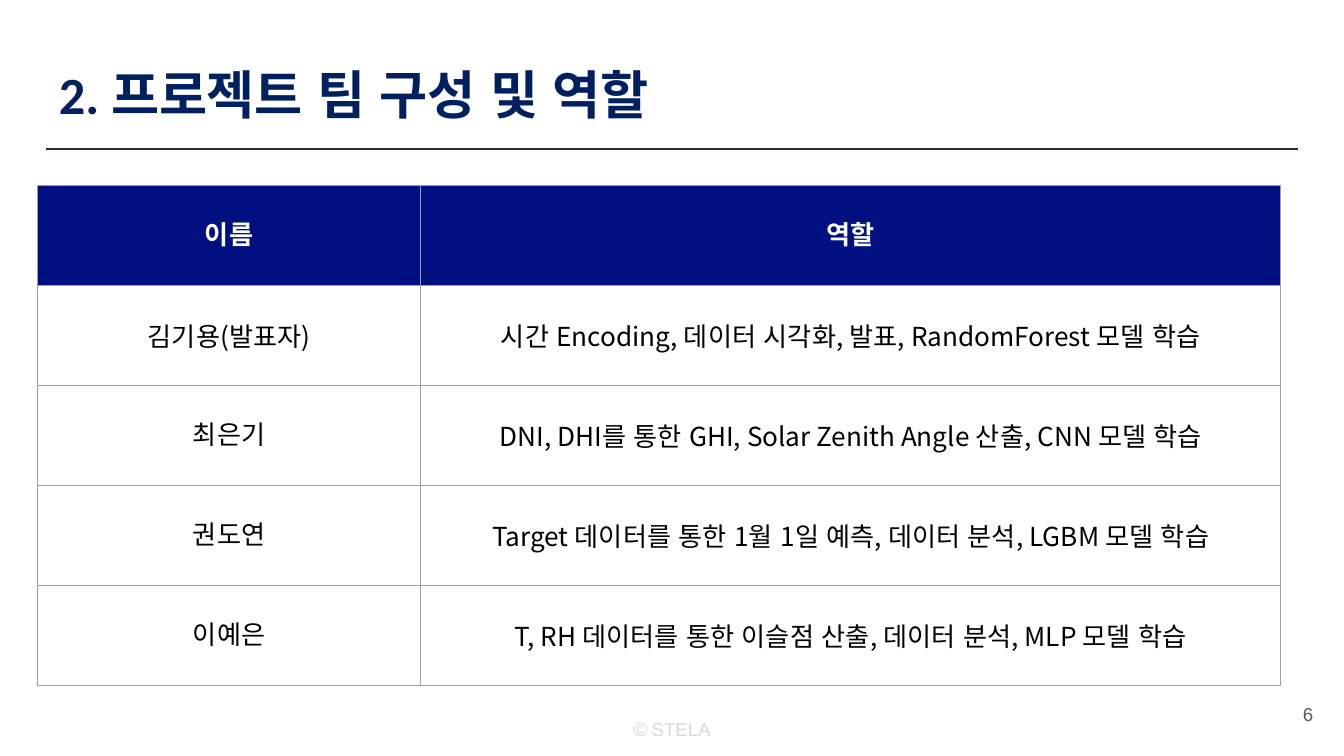
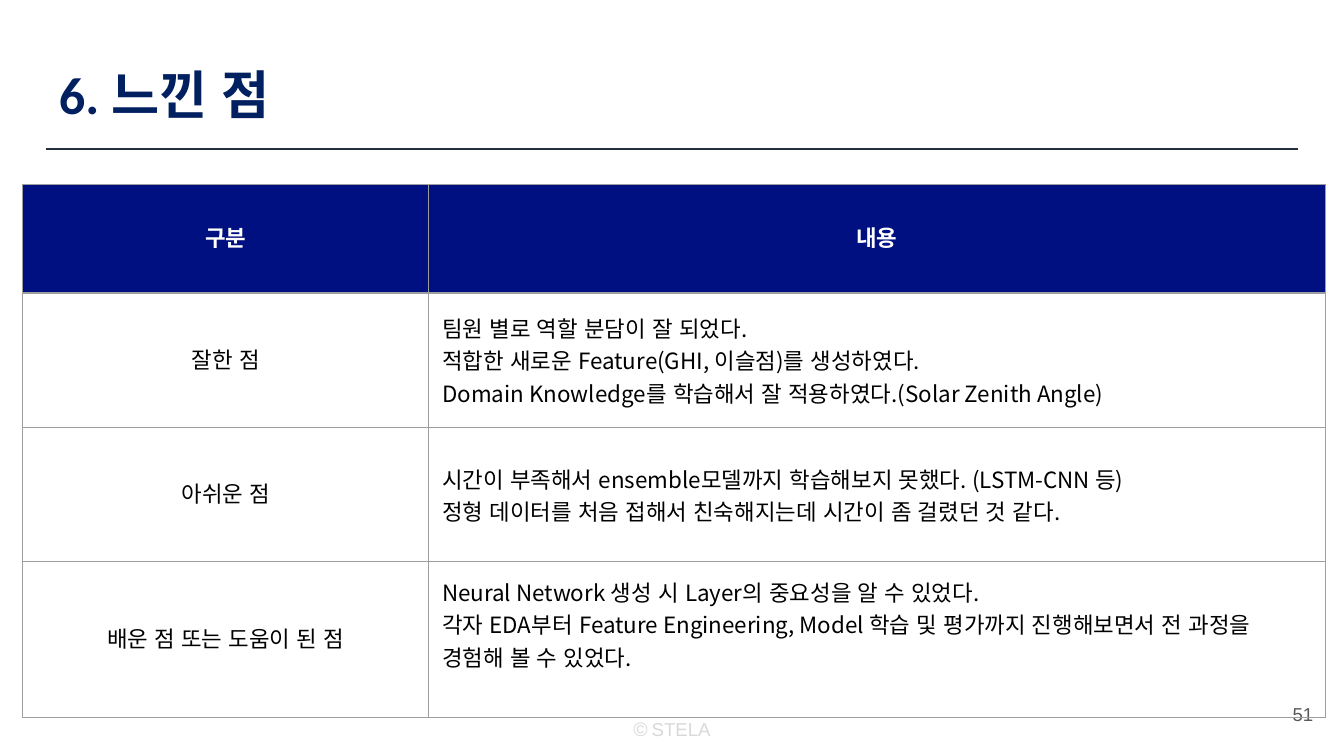
from lxml.etree import SubElement
from pptx import Presentation
from pptx.dml.color import RGBColor
from pptx.enum.shapes import MSO_CONNECTOR
from pptx.enum.text import MSO_ANCHOR, PP_ALIGN
from pptx.oxml import parse_xml
from pptx.oxml.ns import nsdecls, qn
from pptx.util import Inches, Pt

TITLE, RULE, HEADER, BORDER = "002060", "262E42", "001080", "9E9E9E"
FOOTER, PAGE, WHITE, BLACK = "D9D9D9", "595959", "FFFFFF", "000000"
TABLE_FONT = "Noto Sans CJK KR"
NO_STYLE = "{2D5ABB26-0587-4C30-8999-92F81FD0307C}"
INSET = Inches(0.1)

slides = [
    {
        "title": "2. 프로젝트 팀 구성 및 역할", "page": "6", "size": 14,
        "at": (0.28, 1.38), "cols": (2.85, 6.4), "rows": [3.72 / 5] * 5,
        "body_align": PP_ALIGN.CENTER,
        "cells": [
            ("이름", "역할"),
            ("김기용(발표자)", "시간 Encoding, 데이터 시각화, 발표, RandomForest 모델 학습"),
            ("최은기", "DNI, DHI를 통한 GHI, Solar Zenith Angle 산출, CNN 모델 학습"),
            ("권도연", "Target 데이터를 통한 1월 1일 예측, 데이터 분석, LGBM 모델 학습"),
            ("이예은", "T, RH 데이터를 통한 이슬점 산출, 데이터 분석, MLP 모델 학습"),
        ],
    },
    {
        "title": "6. 느낀 점", "page": "51", "size": 12,
        "at": (0.17, 1.37), "cols": (3.02, 6.67), "rows": [0.81, 1, 1, 1.16],
        "body_align": PP_ALIGN.LEFT, "last_bottom": 0.34,
        "cells": [
            ("구분", "내용"),
            ("잘한 점",
             "팀원 별로 역할 분담이 잘 되었다.\n"
             "적합한 새로운 Feature(GHI, 이슬점)를 생성하였다.\n"
             "Domain Knowledge를 학습해서 잘 적용하였다.(Solar Zenith Angle)"),
            ("아쉬운 점",
             "시간이 부족해서 ensemble모델까지 학습해보지 못했다. (LSTM-CNN 등)\n"
             "정형 데이터를 처음 접해서 친숙해지는데 시간이 좀 걸렸던 것 같다."),
            ("배운 점 또는 도움이 된 점",
             "Neural Network 생성 시 Layer의 중요성을 알 수 있었다.\n"
             "각자 EDA부터 Feature Engineering, Model 학습 및 평가까지 "
             "진행해보면서 전 과정을 경험해 볼 수 있었다."),
        ],
    },
]


def style(font, name, size, color, bold=False):
    """Set a font, with Arial as the face for East Asian letters."""
    font.name, font.size, font.bold = name, Pt(size), bold
    font.color.rgb = RGBColor.from_string(color)
    SubElement(font._element, qn("a:ea")).set("typeface", "Arial")


def add_plain_table(s, at, cols, rows):
    """Add a table with no style and even cell margins."""
    frame = s.shapes.add_table(len(rows), len(cols), Inches(at[0]), Inches(at[1]),
                               Inches(sum(cols)), Inches(sum(rows)))
    table = frame.table
    table.first_row = table.horz_banding = False
    table._tbl.tblPr.find(qn("a:tableStyleId")).text = NO_STYLE
    for column, width in zip(table.columns, cols):
        column.width = Inches(width)
    for row, height in zip(table.rows, rows):
        row.height = Inches(height)
    for cell in table.iter_cells():
        cell.margin_left = cell.margin_right = INSET
        cell.margin_top = cell.margin_bottom = INSET
    return table


prs = Presentation()
prs.slide_width = Inches(10)
prs.slide_height = prs.slide_width * 9 // 16

for slide in slides:
    s = prs.slides.add_slide(prs.slide_layouts[6])

    rule = s.shapes.add_connector(MSO_CONNECTOR.STRAIGHT, Inches(0.34), Inches(1.11),
                                  Inches(9.66), Inches(1.11))
    rule.line.color.rgb = RGBColor.from_string(RULE)
    rule.line.width = Pt(0.75)
    SubElement(rule._element.spPr, qn("a:effectLst"))

    # Title and page number
    for text, box, anchor, align, font in (
        (slide["title"], (0.34, 0.36, 9.32, 0.63), MSO_ANCHOR.TOP, PP_ALIGN.LEFT,
         ("Calibri", 28, TITLE, True)),
        (slide["page"], (9.27, 5.1, 0.6, 0.43), MSO_ANCHOR.MIDDLE, PP_ALIGN.RIGHT,
         ("Arial", 10, PAGE)),
    ):
        tf = s.shapes.add_textbox(*map(Inches, box)).text_frame
        tf.word_wrap, tf.vertical_anchor = True, anchor
        tf.margin_left = tf.margin_right = tf.margin_top = tf.margin_bottom = INSET
        p = tf.paragraphs[0]
        p.text, p.alignment = text, align
        style(p.font, *font)

    # Copyright footer
    footer = add_plain_table(s, (4.29, 5.25), [1.42], [0.3])
    p = footer.cell(0, 0).text_frame.paragraphs[0]
    p.alignment = PP_ALIGN.CENTER
    for text, size in (("©", 10.5), (" ", 7.5), ("STELA", 10)):
        r = p.add_run()
        r.text = text
        style(r.font, "Arial", size, FOOTER)

    # Main table
    table = add_plain_table(s, slide["at"], slide["cols"], slide["rows"])
    for i, texts in enumerate(slide["cells"]):
        header = i == 0
        for j, text in enumerate(texts):
            cell = table.cell(i, j)
            cell.text = text
            cell.vertical_anchor = MSO_ANCHOR.MIDDLE
            if header:
                cell.fill.solid()
                cell.fill.fore_color.rgb = RGBColor.from_string(HEADER)
            else:
                cell.fill.background()
            for k, side in enumerate(("lnL", "lnR", "lnT", "lnB")):
                cell._tc.get_or_add_tcPr().insert(k, parse_xml(
                    f'<a:{side} {nsdecls("a")} w="{Pt(0.75)}"><a:solidFill>'
                    f'<a:srgbClr val="{BORDER}"/></a:solidFill></a:{side}>'))
            for p in cell.text_frame.paragraphs:
                p.alignment = PP_ALIGN.CENTER if header or j == 0 else slide["body_align"]
                style(p.font, TABLE_FONT, slide["size"], WHITE if header else BLACK, header)
    if "last_bottom" in slide:
        cell.margin_bottom = Inches(slide["last_bottom"])

prs.save("out.pptx")
